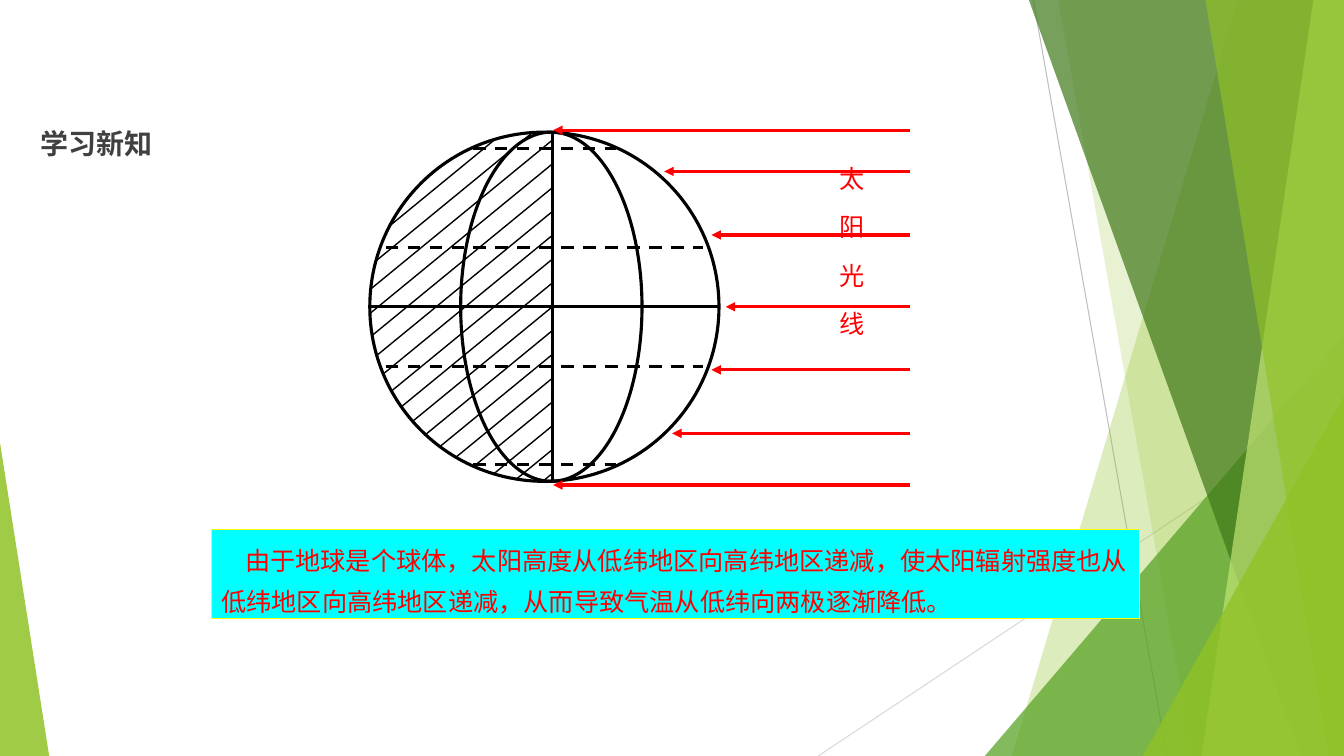
from math import sqrt

from lxml import etree
from pptx import Presentation
from pptx.dml.color import RGBColor
from pptx.enum.dml import MSO_LINE
from pptx.enum.shapes import MSO_CONNECTOR, MSO_SHAPE
from pptx.enum.text import MSO_ANCHOR, MSO_AUTO_SIZE, PP_ALIGN
from pptx.oxml.ns import qn
from pptx.util import Cm, Pt

STRAIGHT = MSO_CONNECTOR.STRAIGHT
RECT, OVAL = MSO_SHAPE.RECTANGLE, MSO_SHAPE.OVAL
TRIANGLE = MSO_SHAPE.ISOSCELES_TRIANGLE
DASH = MSO_LINE.DASH
TOP, MIDDLE = MSO_ANCHOR.TOP, MSO_ANCHOR.MIDDLE
LEFT = PP_ALIGN.LEFT
FIXED = MSO_AUTO_SIZE.NONE

WHITE = RGBColor(0xFF, 0xFF, 0xFF)
BLACK = RGBColor(0x00, 0x00, 0x00)
RED = RGBColor(0xFF, 0x00, 0x00)
CYAN = RGBColor(0x00, 0xFF, 0xFF)
YELLOW = RGBColor(0xFF, 0xFF, 0x00)
CHARCOAL = RGBColor(0x40, 0x40, 0x40)
GREY = RGBColor(0xBF, 0xBF, 0xBF)
PALE_GREY = RGBColor(0xD9, 0xD9, 0xD9)
LIME = RGBColor(0x90, 0xC2, 0x26)
GREEN = RGBColor(0x54, 0xA0, 0x21)
DARK_GREEN = RGBColor(0x3F, 0x78, 0x19)
LIGHT_LIME = RGBColor(0xC0, 0xE4, 0x74)

FONT = "Noto Sans CJK SC"
WIDTH, HEIGHT = 33.87, 19.05


def write(tf, text, size=18, color=RED, bold=False, wrap=True, anchor=TOP,
          leading=None, indent=None, tracking=None):
    """Fill a text frame with one formatted paragraph."""
    tf.word_wrap, tf.auto_size, tf.vertical_anchor = wrap, FIXED, anchor
    p = tf.paragraphs[0]
    p.alignment = LEFT
    if leading:
        p.line_spacing = Pt(leading)
    if indent:
        p._p.get_or_add_pPr().set("indent", str(Cm(indent)))
    r = p.add_run()
    r.text = text
    r.font.size, r.font.bold, r.font.name = Pt(size), bold, FONT
    r.font.color.rgb = color
    rPr = r._r.get_or_add_rPr()
    etree.SubElement(rPr, qn("a:ea")).set("typeface", FONT)
    if tracking:
        rPr.set("spc", str(int(tracking * 100)))


class SlideBuilder:
    """Draws styled elements on one slide; lengths are in centimetres."""

    def __init__(self, slide):
        self.slide = slide
        self.shapes = slide.shapes

    def title(self, text, x, y, w, h):
        sp = self.shapes.title
        sp.left, sp.top, sp.width, sp.height = Cm(x), Cm(y), Cm(w), Cm(h)
        write(sp.text_frame, text, size=20, color=CHARCOAL, bold=True,
              wrap=False, anchor=MIDDLE)

    def paint(self, sp, fill=None, line=None, weight=0.75, opacity=100):
        sp.shadow.inherit = False
        if fill is None:
            sp.fill.background()
        else:
            sp.fill.solid()
            sp.fill.fore_color.rgb = fill
            if opacity < 100:
                clr = sp.fill._xPr.find(".//" + qn("a:srgbClr"))
                etree.SubElement(clr, qn("a:alpha")).set("val", str(opacity * 1000))
        if line is None:
            sp.line.fill.background()
        else:
            sp.line.color.rgb = line
            sp.line.width = Pt(weight)

    def shape(self, kind, x, y, w, h, **style):
        sp = self.shapes.add_shape(kind, Cm(x), Cm(y), Cm(w), Cm(h))
        self.paint(sp, **style)
        return sp

    def triangle(self, x, y, w, apex, fill, opacity):
        """Right triangle standing on the bottom edge of the slide."""
        sp = self.shape(TRIANGLE, x, y, w, HEIGHT - y, fill=fill, opacity=opacity)
        sp.adjustments[0] = apex

    def panel(self, top_x, bottom_x, fill, opacity):
        """Full-height panel with a slanted left side, out to the right edge."""
        fb = self.shapes.build_freeform(Cm(top_x), 0)
        fb.add_line_segments([(Cm(WIDTH), 0), (Cm(WIDTH), Cm(HEIGHT)),
                              (Cm(bottom_x), Cm(HEIGHT))])
        self.paint(fb.convert_to_shape(), fill=fill, opacity=opacity)

    def line(self, x1, y1, x2, y2, color=BLACK, weight=2.25, dash=None, arrow=False):
        c = self.shapes.add_connector(STRAIGHT, Cm(x1), Cm(y1), Cm(x2), Cm(y2))
        c.line.color.rgb, c.line.width = color, Pt(weight)
        if dash:
            c.line.dash_style = dash
        if arrow:
            ln = c.line._get_or_add_ln()
            etree.SubElement(ln, qn("a:tailEnd")).set("type", "triangle")
        etree.SubElement(c._element.spPr, qn("a:effectLst"))

    def vertical_text(self, text, x, y, w, h, **style):
        sp = self.shapes.add_textbox(Cm(x), Cm(y), Cm(w), Cm(h))
        write(sp.text_frame, text, **style)
        sp.text_frame._txBody.bodyPr.set("vert", "eaVert")


def draw_backdrop(s):
    s.line(26.04, 0, 29.41, HEIGHT, color=GREY, weight=0.75)
    s.line(WIDTH, 10.24, 20.62, HEIGHT, color=PALE_GREY, weight=0.75)
    s.panel(31.19, 25.5, LIME, 30)
    s.panel(26.67, 30.05, LIME, 20)
    s.triangle(24.82, 8.46, 9.05, 1, GREEN, 72)
    s.panel(25.93, 32.79, DARK_GREEN, 70)
    s.panel(33.1, 30.28, LIGHT_LIME, 70)
    s.panel(30.38, 33.48, LIME, 65)
    s.triangle(28.8, 9.98, 5.07, 1, LIME, 80)
    s.triangle(0, 11.15, 1.24, 0, LIME, 85)


def draw_globe(s):
    cx, cy, radius, axis_x = 13.72, 7.73, 4.4, 13.92
    top, bottom = cy - radius, cy + radius
    s.shape(OVAL, cx - radius, top, 2 * radius, 2 * radius,
            fill=WHITE, line=BLACK, weight=2.25)
    s.line(axis_x, top, axis_x, bottom)
    s.line(cx - radius, cy, cx + radius, cy)
    s.shape(OVAL, 11.61, top, 4.57, 2 * radius, line=BLACK, weight=2.25)
    for offset, half in ((1.5, 4), (3.98, 1.8)):
        for y in (cy - offset, cy + offset):
            s.line(cx - half, y, cx + half, y, dash=DASH)

    # Night side: parallel strokes clipped to the disc and the axis.
    slope, pitch, first_y = 0.82, 0.6, 3.53
    a = 1 + slope ** 2
    for i in range(-2, 15):
        axis_y = first_y + i * pitch
        dx, dy = axis_x - cx, axis_y - cy
        b = slope * dy - dx
        root = sqrt(b ** 2 - a * (dx ** 2 + dy ** 2 - radius ** 2))
        start, end = max(0, (-b - root) / a), (-b + root) / a
        s.line(axis_x - start, axis_y + slope * start,
               axis_x - end, axis_y + slope * end, weight=1)


def draw_sun_rays(s):
    rays = ((3.28, 13.94), (4.32, 16.74), (5.92, 17.93), (7.73, 18.29),
            (9.32, 17.93), (10.92, 16.94), (12.22, 13.94))
    for y, tip_x in rays:
        s.line(22.94, y, tip_x, y, color=RED, arrow=True)
    s.vertical_text("太阳光线", 20.65, 3.94, 1.3, 7.59, tracking=16.6)


def main():
    prs = Presentation()
    prs.slide_width, prs.slide_height = Cm(WIDTH), Cm(HEIGHT)
    s = SlideBuilder(prs.slides.add_slide(prs.slide_layouts[5]))
    draw_backdrop(s)
    s.title("学习新知", 0.76, 3.05, 3.35, 1.12)
    note = s.shape(RECT, 5.33, 13.34, 23.39, 2.24, fill=CYAN, line=YELLOW)
    write(note.text_frame,
          "由于地球是个球体，太阳高度从低纬地区向高纬地区递减，使太阳辐射强度也从"
          "低纬地区向高纬地区递减，从而导致气温从低纬向两极逐渐降低。",
          leading=29.2, indent=0.6)
    draw_globe(s)
    draw_sun_rays(s)
    prs.save("out.pptx")


if __name__ == "__main__":
    main()
